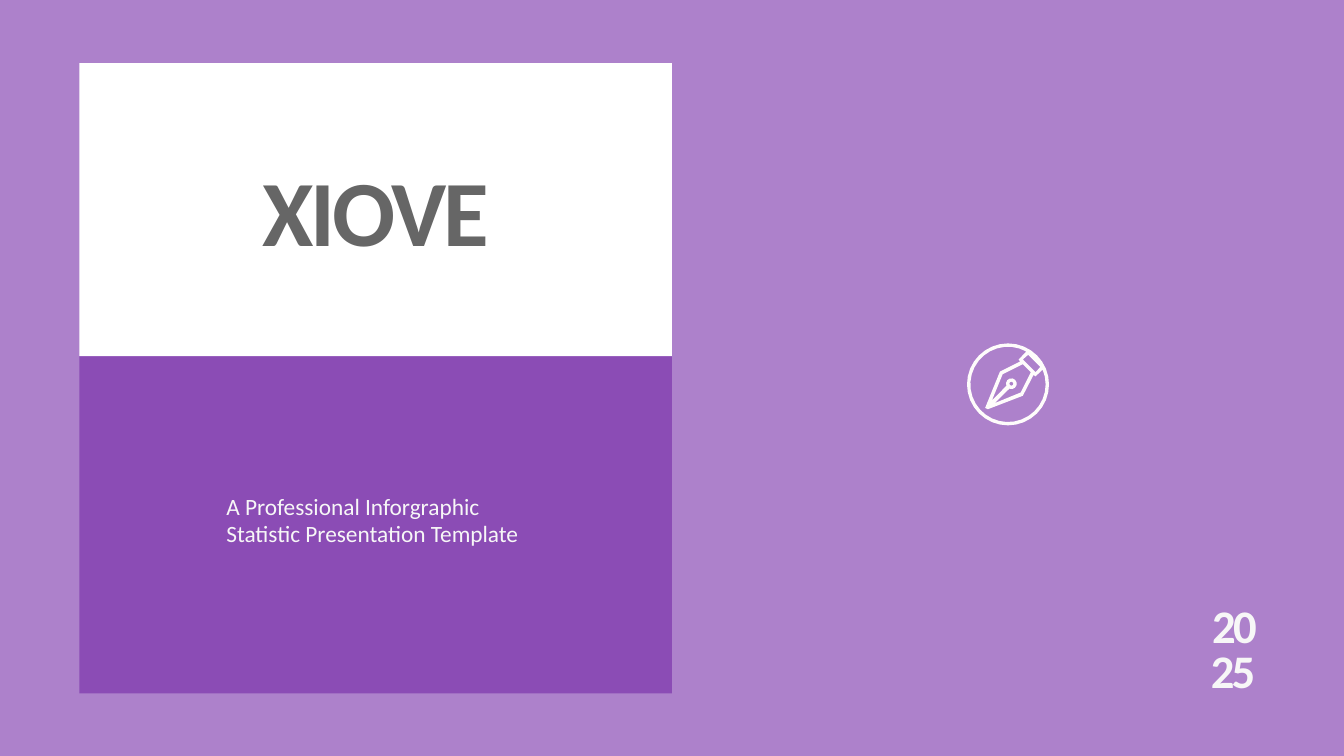
from dataclasses import dataclass
from math import cos, radians, sin

from lxml.etree import SubElement
from pptx import Presentation
from pptx.dml.color import RGBColor
from pptx.enum.shapes import MSO_SHAPE as Shape
from pptx.enum.text import MSO_ANCHOR as Anchor, PP_ALIGN as Align
from pptx.oxml.ns import qn
from pptx.util import Inches, Pt


@dataclass(frozen=True)
class Theme:
    font: str = "Calibri"
    purple: str = "8B4CB5"
    white: str = "FFFFFF"
    icon: str = "FEFCFB"
    title: str = "666666"
    light: str = "F7F7F7"
    title_size: int = 100
    year_size: int = 50
    tagline_size: int = 25
    tracking: int = -3
    wash_opacity: int = 70


theme = Theme()
WIDTH, HEIGHT = 20, 11.25
CARD_LEFT, CARD_TOP, CARD_MIDDLE, CARD_BOTTOM = 1.18, 0.94, 5.3, 10.32
CARD_WIDTH = WIDTH / 2 - CARD_LEFT
SIDE_INSET = 0.1

panels = [
    ((0, 0, WIDTH, HEIGHT), theme.purple, theme.wash_opacity),
    ((CARD_LEFT, CARD_MIDDLE, CARD_WIDTH, CARD_BOTTOM - CARD_MIDDLE), theme.purple, 100),
    ((CARD_LEFT, CARD_TOP, CARD_WIDTH, CARD_MIDDLE - CARD_TOP), theme.white, 100),
]

display = dict(bold=True, align=Align.CENTER, spacing=0.8, inset=0.05,
               tracking=theme.tracking)
body = dict(bold=False, align=Align.LEFT, spacing=0.95, inset=0.09, tracking=0)

texts = [
    dict(text="XIOVE", box=(2.98, 2.55, 5.22, 1.13), size=theme.title_size,
         color=theme.title, **display),
    dict(text="2025", box=(17.87, 8.99, 0.96, 1.33), size=theme.year_size,
         color=theme.light, **display),
    dict(text="A Professional Inforgraphic Statistic Presentation Template",
         box=(3.27, 7.27, 4.63, 1.27), size=theme.tagline_size,
         color=theme.light, **body),
]


def arc(center, radius, start, end, steps):
    angles = [radians(start + (end - start) * i / steps) for i in range(steps + 1)]
    return [(center[0] + radius * cos(a), center[1] + radius * sin(a)) for a in angles]


BADGE = (WIDTH * 0.75, 5.72)
EYE = (15.05, 5.71)

nib_outline = [
    (15.16, 5.35), (15.18, 5.38), (14.88, 5.53), (14.66, 6.07), (14.7, 6.09),
    (15.22, 5.89), (15.38, 5.58), (15.41, 5.6),
]
nib_inside = [
    (14.76, 5.96), (14.92, 5.57), (15.22, 5.42), (15.34, 5.54), (15.19, 5.84), (14.8, 6),
]
pen_collar = [(15.22, 5.35), (15.3, 5.28), (15.48, 5.46), (15.41, 5.54)]

pen_badge = [
    arc(BADGE, 0.61, 0, 360, 32),
    arc(EYE, 0.08, 112, -203, 10) + nib_inside,
    arc(EYE, 0.03, 0, 360, 8),
    pen_collar,
    arc(BADGE, 0.56, -23, 299, 28) + nib_outline,
]


def paint(shape, color, opacity=100):
    shape.shadow.inherit = False
    shape.fill.solid()
    shape.fill.fore_color.rgb = RGBColor.from_string(color)
    shape.line.fill.background()
    if opacity < 100:
        tint = next(shape._element.spPr.iter(qn("a:srgbClr")))
        SubElement(tint, qn("a:alpha")).set("val", str(opacity * 1000))


def add_panel(slide, box, color, opacity):
    panel = slide.shapes.add_shape(Shape.RECTANGLE, *map(Inches, box))
    paint(panel, color, opacity)


def add_badge(slide, contours, color):
    outlines = [[(Inches(x), Inches(y)) for x, y in contour] for contour in contours]
    builder = slide.shapes.build_freeform(*outlines[0][0])
    for index, outline in enumerate(outlines):
        if index:
            builder.move_to(*outline[0])
        builder.add_line_segments(outline[1:], close=True)
    paint(builder.convert_to_shape(), color)


def add_text(slide, text, box, size, color, bold, align, spacing, inset, tracking):
    frame = slide.shapes.add_textbox(*map(Inches, box)).text_frame
    frame.word_wrap = True
    frame.vertical_anchor = Anchor.TOP
    frame.margin_left = frame.margin_right = Inches(SIDE_INSET)
    frame.margin_top = frame.margin_bottom = Inches(inset)
    paragraph = frame.paragraphs[0]
    paragraph.alignment = align
    paragraph.line_spacing = spacing
    run = paragraph.add_run()
    run.text = text
    font = paragraph.font
    font.name, font.size, font.bold = theme.font, Pt(size), bold
    font.color.rgb = RGBColor.from_string(color)
    if tracking:
        run._r.get_or_add_rPr().set("spc", str(tracking * 100))


def main():
    deck = Presentation()
    deck.slide_width, deck.slide_height = Inches(WIDTH), Inches(HEIGHT)
    slide = deck.slides.add_slide(deck.slide_layouts[6])
    for panel in panels:
        add_panel(slide, *panel)
    add_badge(slide, pen_badge, theme.icon)
    for item in texts:
        add_text(slide, **item)
    deck.save("out.pptx")


if __name__ == "__main__":
    main()
